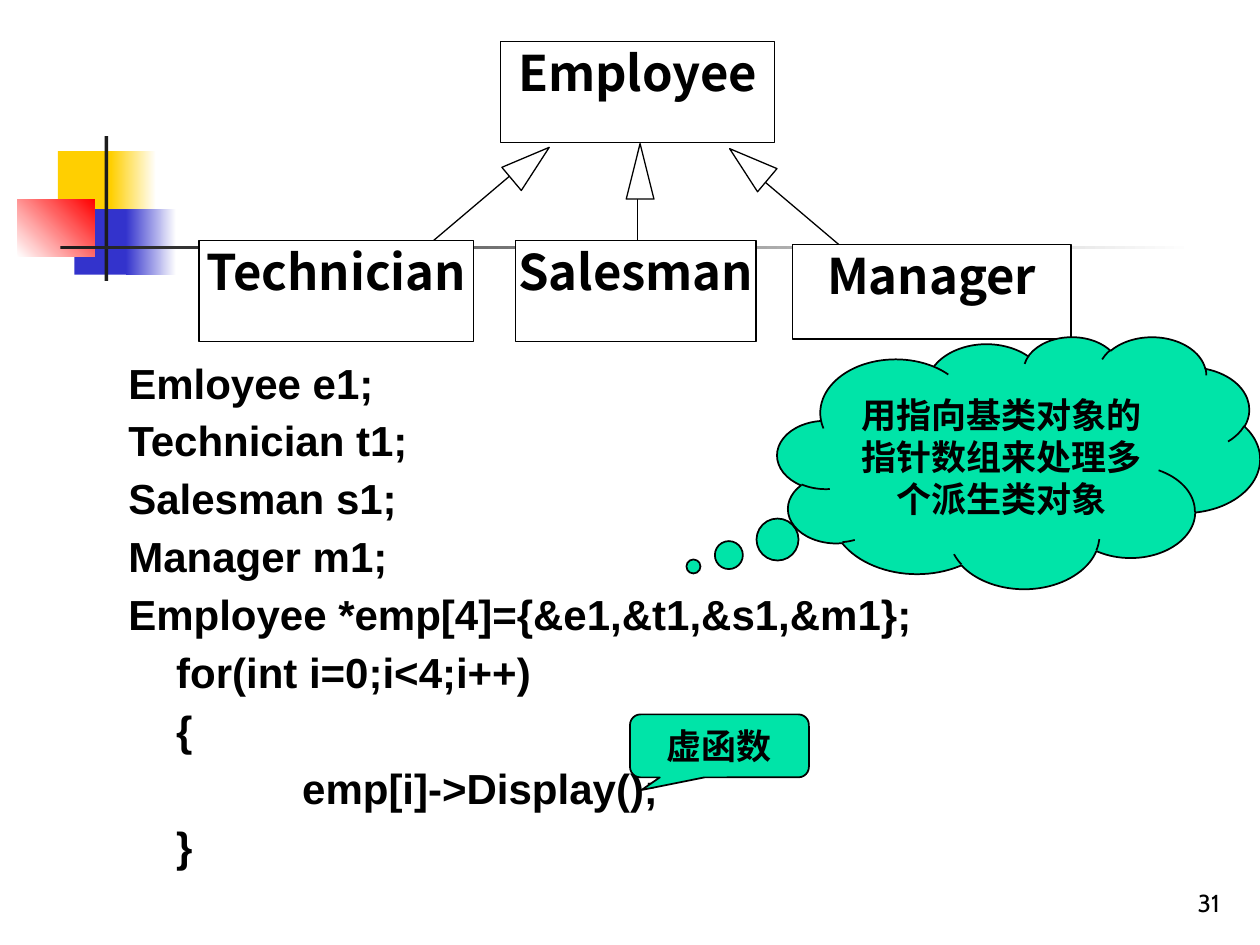
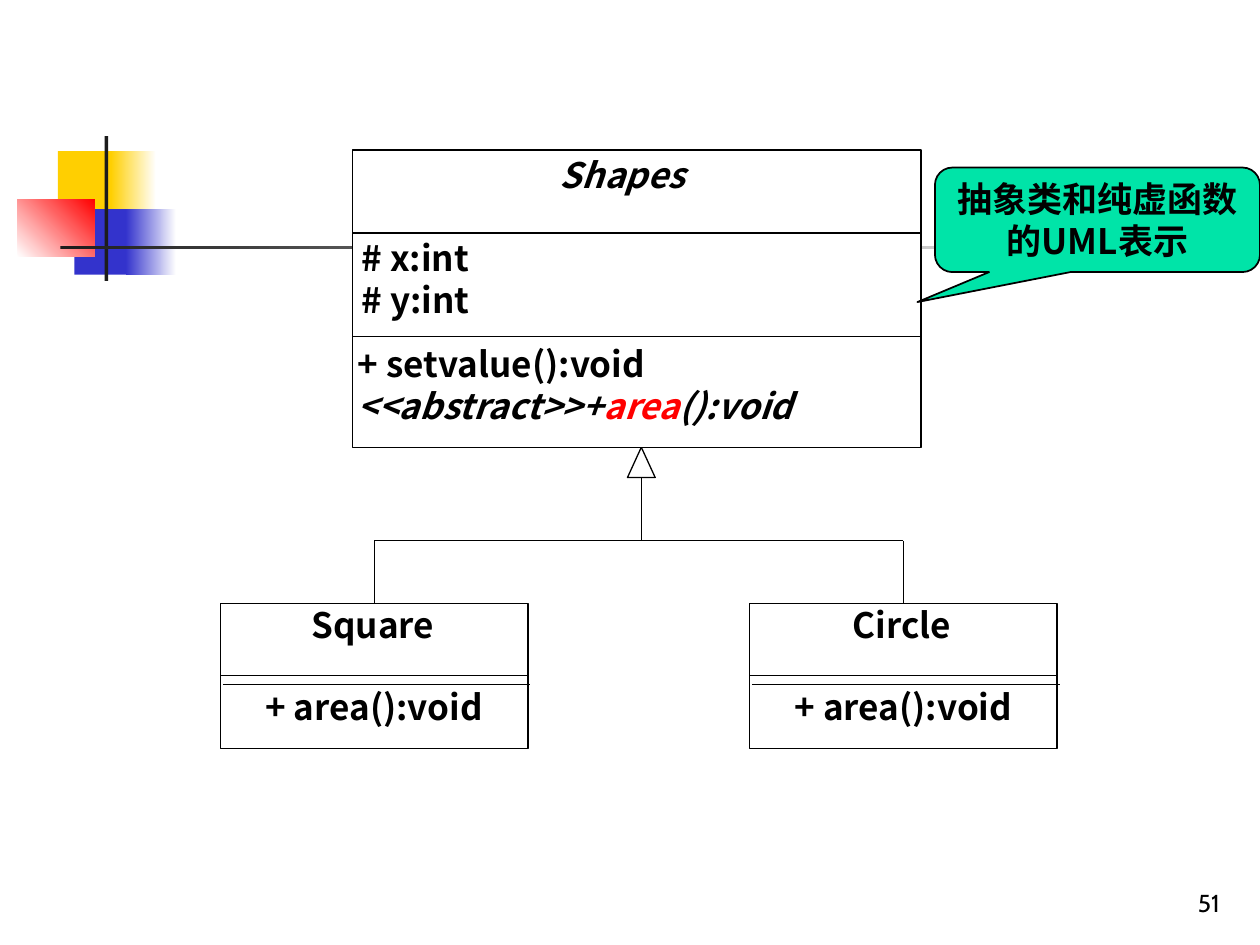
import pptx
import pptx.util
import pptx.dml.color
import pptx.enum.shapes
import pptx.enum.text
import pptx.oxml.ns
import lxml.etree

SHAPE = pptx.enum.shapes.MSO_SHAPE
ALIGN = pptx.enum.text.PP_ALIGN
ANCHOR = pptx.enum.text.MSO_ANCHOR
BLACK, WHITE, RED, MINT = "000000", "FFFFFF", "FF0000", "00E4A8"
GOLD, BLUE, INK = "FFCF01", "3333CC", "1C1C1C"
CODE_FONT, NUMBER_FONT, CLASS_FONT = "Arial", "Cabin", "Noto Sans CJK SC"
ROOMY, TIGHT = (0.1, 0.05), (0.02, 0.01)

BAND = [
    ((0.46, 1.2, 0.48, 0.52), (GOLD,), 0),
    ((0.88, 1.2, 0.36, 0.52), (GOLD, WHITE), 0),
    ((0.59, 1.66, 0.46, 0.52), (BLUE,), 0),
    ((1, 1.66, 0.4, 0.52), (BLUE, WHITE), 0),
    ((0.14, 1.58, 0.61, 0.46), (WHITE, RED), 45),
    ((0.83, 1.08, 0.03, 1.15), (INK,), 0),
    ((0.48, 1.95, 9, 0.03), (INK, WHITE), 0),
]

EMPLOYEE_CLASSES = [
    ("Employee", (3.97, 0.33, 2.18, 0.8)),
    ("Salesman", (4.09, 1.91, 1.91, 0.8)),
    ("Manager", (6.29, 1.94, 2.21, 0.75)),
    ("Technician", (1.58, 1.91, 2.18, 0.8)),
]
INHERITANCE = [
    ((4.16, 1.3), (3.44, 1.91), (4.09, 1.1, 0.24, 0.39), 50),
    ((5.96, 1.35), (6.68, 1.96), (5.82, 1.11, 0.24, 0.39), 310),
    ((5.06, 1.4), (5.06, 1.91), (4.97, 1.14, 0.22, 0.44), 0),
]
CODE = [
    ("Emloyee e1;", 0),
    ("Technician t1;", 0),
    ("Salesman s1;", 0),
    ("Manager m1;", 0),
    ("Employee *emp[4]={&e1,&t1,&s1,&m1};", 0),
    ("for(int i=0;i<4;i++)", 0.38),
    ("{", 0.38),
    ("emp[i]->Display();", 1.38),
    ("}", 0.38),
]
POINTER_NOTE = "用指向基类对象的指针数组来处理多个派生类对象"
VIRTUAL_NOTE = "虚函数"
ABSTRACT_NOTE = "抽象类和纯虚函数的UML表示"

ITALIC = {"italic": True}
SHAPES_NAME = [[("Shapes", ITALIC)]]
SHAPES_FIELDS = [[("# x:int", {})], [("# y:int", {})]]
SHAPES_METHODS = [
    [("+ setvalue():void", {})],
    [
        ("<<abstract>>+", ITALIC),
        ("area", {"italic": True, "color": RED}),
        ("():void", ITALIC),
    ],
]
SUBCLASSES = [("Square", 1.75), ("Circle", 5.95)]
SUBCLASS_METHOD = "+ area():void"
SUBCLASS_TOP, SUBCLASS_WIDTH, SUBCLASS_HEIGHT = 4.79, 2.44, 1.15
FORK_TOP = 4.29


def rgb(value):
    return pptx.dml.color.RGBColor.from_string(value)


def inches(values):
    return [pptx.util.Inches(value) for value in values]


def add_shape(page, kind, area, colors, line_width=0, angle=0, adjustments=()):
    shape = page.shapes.add_shape(kind, *inches(area))
    shape.shadow.inherit = False
    for index, value in enumerate(adjustments):
        shape.adjustments[index] = value
    if len(colors) == 1:
        shape.fill.solid()
        shape.fill.fore_color.rgb = rgb(colors[0])
    else:
        shape.fill.gradient()
        shape.fill.gradient_angle = angle
        for stop, color in zip(shape.fill.gradient_stops, colors):
            stop.color.rgb = rgb(color)
    if line_width:
        shape.line.color.rgb = rgb(BLACK)
        shape.line.width = pptx.util.Pt(line_width)
    else:
        shape.line.fill.background()
    return shape


def add_line(page, start, end):
    line = page.shapes.add_connector(
        pptx.enum.shapes.MSO_CONNECTOR.STRAIGHT, *inches(start + end))
    line.line.color.rgb = rgb(BLACK)
    line.line.width = pptx.util.Pt(0.75)
    properties = line._element.spPr
    lxml.etree.SubElement(properties, pptx.oxml.ns.qn("a:effectLst"))


def write(box, lines, size, font, align, anchor=ANCHOR.TOP, insets=ROOMY, bold=True):
    frame = box.text_frame
    frame.word_wrap = True
    frame.vertical_anchor = anchor
    frame.margin_left = frame.margin_right = pptx.util.Inches(insets[0])
    frame.margin_top = frame.margin_bottom = pptx.util.Inches(insets[1])
    for index, runs in enumerate(lines):
        para = frame.add_paragraph() if index else frame.paragraphs[0]
        para.alignment = align
        for text, style in runs:
            span = para.add_run()
            span.text = text
            span.font.name = font
            span.font.size = pptx.util.Pt(size)
            span.font.bold = bold
            span.font.italic = style.get("italic", False)
            span.font.color.rgb = rgb(style.get("color", BLACK))
    return frame


def plain(text):
    return [[(text, {})]]


def add_text(page, area, lines, size, font, align, **options):
    box = page.shapes.add_textbox(*inches(area))
    return write(box, lines, size, font, align, **options)


def add_callout(page, kind, area, adjustments, text, font):
    callout = add_shape(page, kind, area, (MINT,), 1, adjustments=adjustments)
    write(callout, plain(text), 20, font, ALIGN.CENTER, ANCHOR.MIDDLE)


def add_triangle(page, area, rotation=0):
    triangle = add_shape(page, SHAPE.ISOSCELES_TRIANGLE, area, (WHITE,), 0.75)
    triangle.rotation = rotation


def add_page(deck, number):
    page = deck.slides.add_slide(deck.slide_layouts[6])
    for area, colors, angle in BAND:
        add_shape(page, SHAPE.RECTANGLE, area, colors, angle=angle)
    add_text(page, (7.7, 6.83, 2.08, 0.5), plain(number), 14, NUMBER_FONT,
             ALIGN.RIGHT, anchor=ANCHOR.BOTTOM, bold=False)
    return page


def build_employee_page(deck):
    page = add_page(deck, "31")
    for start, end, head, rotation in INHERITANCE:
        add_line(page, start, end)
        add_triangle(page, head, rotation)
    for name, area in EMPLOYEE_CLASSES:
        box = add_shape(page, SHAPE.RECTANGLE, area, (WHITE,), 0.75)
        write(box, plain(name), 28, CLASS_FONT, ALIGN.CENTER, insets=TIGHT)

    lines = [[(text, {})] for text, indent in CODE]
    frame = add_text(page, (0.92, 2.83, 8.25, 4.5), lines, 24, CODE_FONT, ALIGN.LEFT)
    for index, (para, (text, indent)) in enumerate(zip(frame.paragraphs, CODE)):
        para.line_spacing = 0.9
        para.space_before = pptx.util.Pt(7.2 if index else 0)
        para._p.get_or_add_pPr().set("marL", str(pptx.util.Inches(indent)))

    add_callout(page, SHAPE.CLOUD_CALLOUT, (6.17, 2.67, 3.83, 2),
                (-0.674, 0.413), POINTER_NOTE, NUMBER_FONT)
    add_callout(page, SHAPE.ROUNDED_RECTANGULAR_CALLOUT, (5, 5.67, 1.42, 0.5),
                (-0.435, 0.7, 0.167), VIRTUAL_NOTE, NUMBER_FONT)


def build_shapes_page(deck):
    page = add_page(deck, "51")
    add_triangle(page, (4.98, 3.55, 0.22, 0.24))
    add_line(page, (5.09, 3.79), (5.09, FORK_TOP))
    left, top, width, height = 2.8, 1.19, 4.51, 2.36
    add_shape(page, SHAPE.RECTANGLE, (left, top, width, height), (WHITE,), 0.75)
    for area, lines, align in [
        ((3.98, 1.17, 1.92, 0.71), SHAPES_NAME, ALIGN.CENTER),
        ((2.77, 1.83, 2.09, 0.84), SHAPES_FIELDS, ALIGN.JUSTIFY),
        ((2.74, 2.67, 4.68, 0.98), SHAPES_METHODS, ALIGN.JUSTIFY),
    ]:
        add_text(page, area, lines, 20, CLASS_FONT, align)
    for divider in (1.85, 2.67):
        add_line(page, (left, divider), (left + width, divider))

    centers = [left + SUBCLASS_WIDTH / 2 for name, left in SUBCLASSES]
    add_line(page, (centers[0], FORK_TOP), (centers[-1], FORK_TOP))
    for (name, left), center in zip(SUBCLASSES, centers):
        add_shape(page, SHAPE.RECTANGLE,
                  (left, SUBCLASS_TOP, SUBCLASS_WIDTH, SUBCLASS_HEIGHT), (WHITE,), 0.75)
        add_text(page, (center - 0.91, 4.74, 1.8, 0.72), plain(name),
                 20, CLASS_FONT, ALIGN.CENTER)
        add_text(page, (left, 5.39, SUBCLASS_WIDTH, 0.69), plain(SUBCLASS_METHOD),
                 20, CLASS_FONT, ALIGN.CENTER)
        for shift, divider in ((0, 5.36), (0.02, 5.43)):
            add_line(page, (left + shift, divider),
                     (left + shift + SUBCLASS_WIDTH, divider))
        add_line(page, (center, FORK_TOP), (center, SUBCLASS_TOP))

    add_callout(page, SHAPE.ROUNDED_RECTANGULAR_CALLOUT, (7.42, 1.33, 2.58, 0.83),
                (-0.554, 0.787, 0.167), ABSTRACT_NOTE, CLASS_FONT)


def main():
    deck = pptx.Presentation()
    deck.slide_width, deck.slide_height = inches((10, 7.5))
    build_employee_page(deck)
    build_shapes_page(deck)
    deck.save("out.pptx")


if __name__ == "__main__":
    main()
